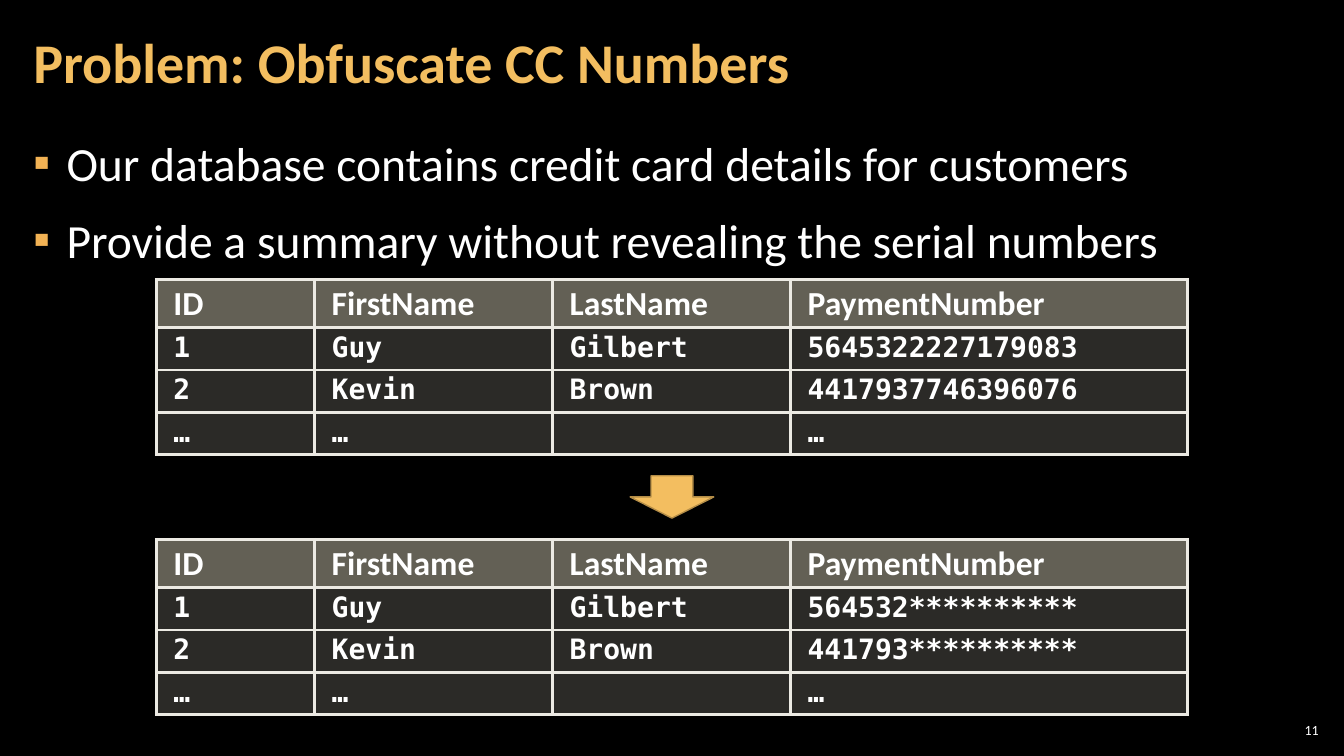
from lxml import etree
from pptx import Presentation
from pptx.dml.color import RGBColor
from pptx.enum.shapes import MSO_SHAPE
from pptx.enum.text import MSO_ANCHOR, PP_ALIGN
from pptx.oxml import parse_xml
from pptx.oxml.ns import nsdecls, qn
from pptx.util import Inches, Pt

ARROW = MSO_SHAPE.DOWN_ARROW
MIDDLE = MSO_ANCHOR.MIDDLE
RIGHT = PP_ALIGN.RIGHT
LEFT = PP_ALIGN.LEFT

GOLD, WHITE = "F3BE60", "FFFFFF"
HEAD = ["ID", "FirstName", "LastName", "PaymentNumber"]
ROWS = [
    ["1", "Guy", "Gilbert", "5645322227179083"],
    ["2", "Kevin", "Brown", "4417937746396076"],
    ["…", "…", "", "…"],
]
MASKED = [row[:3] + [row[3][:6] + "*" * len(row[3][6:])] for row in ROWS]
WIDTHS = [1.57, 2.36, 2.36, 3.94]
HEIGHTS = [0.48, 0.42, 0.42, 0.42]


def color(text):
    return RGBColor.from_string(text)


def style(para, size, tint, bold=False, face="Calibri"):
    for run in para.runs:
        run.font.size = Pt(size)
        run.font.name = face
        run.font.bold = bold
        run.font.color.rgb = color(tint)


deck = Presentation()
deck.slide_width = Inches(13.33)
deck.slide_height = Inches(7.5)
slide = deck.slides.add_slide(deck.slide_layouts[1])
slide.background.fill.solid()
slide.background.fill.fore_color.rgb = color("000000")

# Title, bullets and page number
title, body = slide.placeholders
page = slide.shapes.add_textbox(0, 0, 0, 0)
for shape, box, inset in [
    (title, (0.21, 0.04, 10.47, 1.21), 0.12),
    (body, (0.21, 1.26, 12.91, 6.09), 0.12),
    (page, (12.65, 7.14, 0.47, 0.21), 0.04),
]:
    shape.left, shape.top, shape.width, shape.height = map(Inches, box)
    frame = shape.text_frame
    frame.word_wrap = True
    frame.margin_left = frame.margin_right = Inches(inset)
    frame.margin_top = frame.margin_bottom = Inches(0.04)

title.text_frame.text = "Problem: Obfuscate CC Numbers"
title.text_frame.vertical_anchor = MIDDLE
para = title.text_frame.paragraphs[0]
para.alignment = LEFT
para.line_spacing = 0.9
style(para, 40, GOLD, True)

body.text_frame.text = (
    "Our database contains credit card details for customers\n"
    "Provide a summary without revealing the serial numbers"
)
for i, para in enumerate(body.text_frame.paragraphs):
    props = para._p.get_or_add_pPr()
    props.set("marL", str(Inches(0.33)))
    props.set("indent", str(-Inches(0.33)))
    tint = etree.SubElement(props, qn("a:buClr"))
    etree.SubElement(tint, qn("a:srgbClr"), val="F2B254")
    etree.SubElement(props, qn("a:buFont"), typeface="Calibri")
    etree.SubElement(props, qn("a:buChar"), char="▪")
    para.line_spacing = 1.05
    para.space_before = Pt(6 if i else 0)
    para.space_after = Pt(6)
    style(para, 34, WHITE)

page.text_frame.text = "11"
page.text_frame.vertical_anchor = MIDDLE
para = page.text_frame.paragraphs[0]
para.alignment = RIGHT
style(para, 10, WHITE)

# Tables before and after masking
for top, rows in [(2.77, ROWS), (5.35, MASKED)]:
    table = slide.shapes.add_table(
        4, 4, Inches(1.55), Inches(top), Inches(10.24), Inches(1.73)
    ).table
    for col, width in zip(table.columns, WIDTHS):
        col.width = Inches(width)
    for r, texts in enumerate([HEAD] + rows):
        table.rows[r].height = Inches(HEIGHTS[r])
        if r == 0:
            fill, alpha, size, face = "C6C0AA", 50, 24, "Calibri"
        else:
            fill, alpha, size, face = "D9D5C7", 20, 20, "DejaVu Sans Mono"
        for c, text in enumerate(texts):
            cell = table.cell(r, c)
            cell.margin_left = cell.margin_right = Inches(0.17)
            cell.margin_top = cell.margin_bottom = Inches(0.05)
            cell.text_frame.text = text
            para = cell.text_frame.paragraphs[0]
            para.line_spacing = 0.95
            style(para, size, WHITE, True, face)
            props = cell._tc.get_or_add_tcPr()
            for side in "LRTB":
                props.append(parse_xml(
                    f'<a:ln{side} {nsdecls("a")} w="{Pt(2.25)}"><a:solidFill>'
                    f'<a:srgbClr val="ECEAE3"/></a:solidFill></a:ln{side}>'
                ))
            cell.fill.solid()
            cell.fill.fore_color.rgb = color(fill)
            tint = props.find(qn("a:solidFill")).find(qn("a:srgbClr"))
            etree.SubElement(tint, qn("a:alpha"), val=str(alpha * 1000))

arrow = slide.shapes.add_shape(
    ARROW, Inches(6.25), Inches(4.72), Inches(0.83), Inches(0.42)
)
arrow.shadow.inherit = False
arrow.fill.solid()
arrow.fill.fore_color.rgb = color(GOLD)
arrow.line.color.rgb = color("B48D47")
arrow.line.width = Pt(1)

deck.save("out.pptx")
